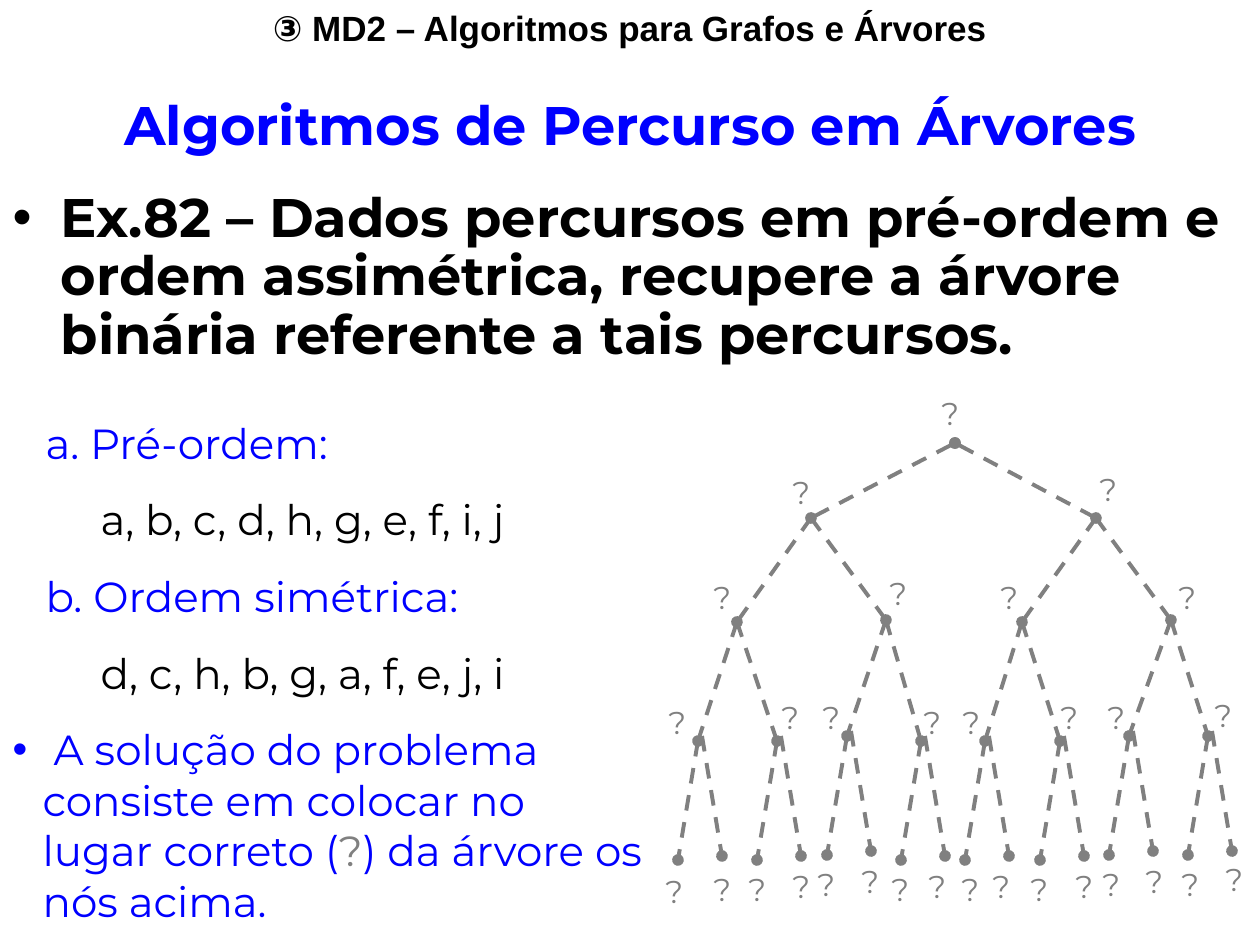
from lxml.etree import SubElement
from pptx import Presentation
from pptx.dml.color import RGBColor
from pptx.enum.dml import MSO_LINE
from pptx.enum.shapes import MSO_CONNECTOR
from pptx.enum.text import MSO_ANCHOR, MSO_AUTO_SIZE, PP_ALIGN
from pptx.oxml.ns import qn
from pptx.util import Emu, Pt

EMU_PER_PX = 914400 / 126
COLORS = {"blue": "0000FF", "black": "000000", "gray": "808080"}

# Each node: x, y, label left, label top
INNER_LEVELS = [
    [(955, 443, 929, 388)],
    [(811, 518, 780, 467), (1096, 518, 1087, 464)],
    [(737, 622, 701, 572), (886, 620, 877, 568),
     (1022, 622, 988, 572), (1171, 620, 1166, 572)],
    [(698, 741, 656, 697), (777, 741, 769, 692),
     (847, 736, 810, 692), (921, 741, 911, 697),
     (985, 741, 950, 697), (1060, 741, 1048, 692),
     (1129, 736, 1095, 692), (1208, 736, 1202, 690)],
]
LEAF_LABELS = [
    (653, 866), (701, 864), (736, 864), (780, 861),
    (805, 859), (849, 856), (879, 864), (916, 861),
    (949, 864), (980, 861), (1018, 864), (1063, 861),
    (1090, 859), (1133, 856), (1169, 859), (1213, 854),
]
LEAF_OFFSETS = [(-20, 119), (24, 115)]
RIGHT_LEAF_START = (4, -5)

TRAVERSALS = [
    ("a. Pré-ordem:", "blue", 33),
    ("a, b, c, d, h, g, e, f, i, j", "black", 88),
    ("b. Ordem simétrica:", "blue", 33),
    ("d, c, h, b, g, a, f, e, j, i", "black", 88),
]


def px(length):
    """Turn pixels into EMU."""
    return Emu(round(length * EMU_PER_PX))


def color(name):
    """Look up a named colour."""
    return RGBColor.from_string(COLORS[name])


def prepare_box(box, left, top, width, height):
    """Place a text shape and return its text frame."""
    box.left, box.top, box.width, box.height = map(px, (left, top, width, height))
    frame = box.text_frame
    frame.word_wrap = True
    frame.auto_size = MSO_AUTO_SIZE.NONE
    frame.vertical_anchor = MSO_ANCHOR.TOP
    frame.margin_left = frame.margin_right = Pt(7.2)
    frame.margin_top = frame.margin_bottom = Pt(3.6)
    return frame


def set_indent(para, margin, bullet=False):
    """Indent a paragraph, hanging it after a bullet when asked."""
    properties = para._p.get_or_add_pPr()
    properties.set("marL", str(px(margin)))
    properties.set("indent", str(px(-margin if bullet else 0)))
    if bullet:
        SubElement(properties, qn("a:buChar"), char="•")
    else:
        SubElement(properties, qn("a:buNone"))


def style(para, size, color_name, font="Montserrat", bold=False, before=0):
    """Set the font and the space before a paragraph."""
    para.space_before = Pt(before)
    para.font.name = font
    para.font.size = Pt(size)
    para.font.bold = bold
    para.font.color.rgb = color(color_name)


def add_header(page):
    """Add the course name at the top."""
    frame = prepare_box(page.shapes.add_textbox(0, 0, 0, 0), 0, 0, 1260, 55)
    para = frame.paragraphs[0]
    para.text = "③ MD2 – Algoritmos para Grafos e Árvores"
    para.alignment = PP_ALIGN.CENTER
    style(para, 20, "black", "Arial", True)


def fill_title(box):
    """Write the slide title."""
    para = prepare_box(box, 0, 92, 1260, 76).paragraphs[0]
    para.text = "Algoritmos de Percurso em Árvores"
    para.alignment = PP_ALIGN.CENTER
    para.line_spacing = 0.9
    style(para, 31, "blue", bold=True)


def fill_statement(box):
    """Write the exercise statement."""
    para = prepare_box(box, 0, 184, 1260, 190).paragraphs[0]
    para.text = ("Ex.82 – Dados percursos em pré-ordem e ordem assimétrica, "
                 "recupere a árvore binária referente a tais percursos.")
    set_indent(para, 48, bullet=True)
    para.line_spacing = 0.9
    style(para, 31, "black", bold=True)


def fill_traversals(box):
    """Write the two traversals and the hint."""
    frame = prepare_box(box, 0, 411, 655, 522)
    para = frame.paragraphs[0]
    for index, (text, color_name, margin) in enumerate(TRAVERSALS):
        para.text = text
        set_indent(para, margin)
        style(para, 24, color_name, before=15 if index else 0)
        para = frame.add_paragraph()
    set_indent(para, 30, bullet=True)
    style(para, 24, "blue", before=15)
    for text, color_name in [
        (" A solução do problema consiste em colocar no lugar correto (", "blue"),
        ("?", "gray"),
        (") da árvore os nós acima.", "blue"),
    ]:
        span = para.add_run()
        span.text = text
        span.font.color.rgb = color(color_name)


def add_edge(tree, start, end, from_root=False):
    """Draw a dashed edge ending in a node dot."""
    edge = tree.shapes.add_connector(
        MSO_CONNECTOR.STRAIGHT, *map(px, (*start, *end)))
    edge.line.color.rgb = color("gray")
    edge.line.width = Pt(2.25)
    edge.line.dash_style = MSO_LINE.DASH
    properties = edge.element.spPr
    outline = properties.find(qn("a:ln"))
    if from_root:
        SubElement(outline, qn("a:headEnd"), type="oval")
    SubElement(outline, qn("a:tailEnd"), type="oval")
    SubElement(properties, qn("a:effectLst"))


def add_label(tree, left, top):
    """Add the question mark of one node."""
    box = tree.shapes.add_textbox(0, 0, 0, 0)
    para = prepare_box(box, left, top, 46, 50).paragraphs[0]
    para.text = "?"
    style(para, 18, "gray")


def add_tree(page):
    """Draw the binary tree level by level."""
    tree = page.shapes.add_group_shape()
    for depth, level in enumerate(INNER_LEVELS):
        for index, (x, y, *label) in enumerate(level):
            if depth:
                parent = INNER_LEVELS[depth - 1][index // 2]
                add_edge(tree, parent[:2], (x, y), from_root=depth == 1)
            add_label(tree, *label)
    for index, label in enumerate(LEAF_LABELS):
        x, y = INNER_LEVELS[-1][index // 2][:2]
        shift_x, shift_y = RIGHT_LEAF_START if index % 2 else (0, 0)
        leaf_x, leaf_y = LEAF_OFFSETS[index % 2]
        add_edge(tree, (x + shift_x, y + shift_y), (x + leaf_x, y + leaf_y))
        add_label(tree, *label)


def main():
    """Build and save the slide."""
    deck = Presentation()
    deck.slide_width, deck.slide_height = px(1260), px(945)
    page = deck.slides.add_slide(deck.slide_layouts[3])
    title, statement, traversals = list(page.placeholders)[:3]
    add_header(page)
    fill_title(title)
    fill_statement(statement)
    fill_traversals(traversals)
    add_tree(page)
    deck.save("out.pptx")


if __name__ == "__main__":
    main()
